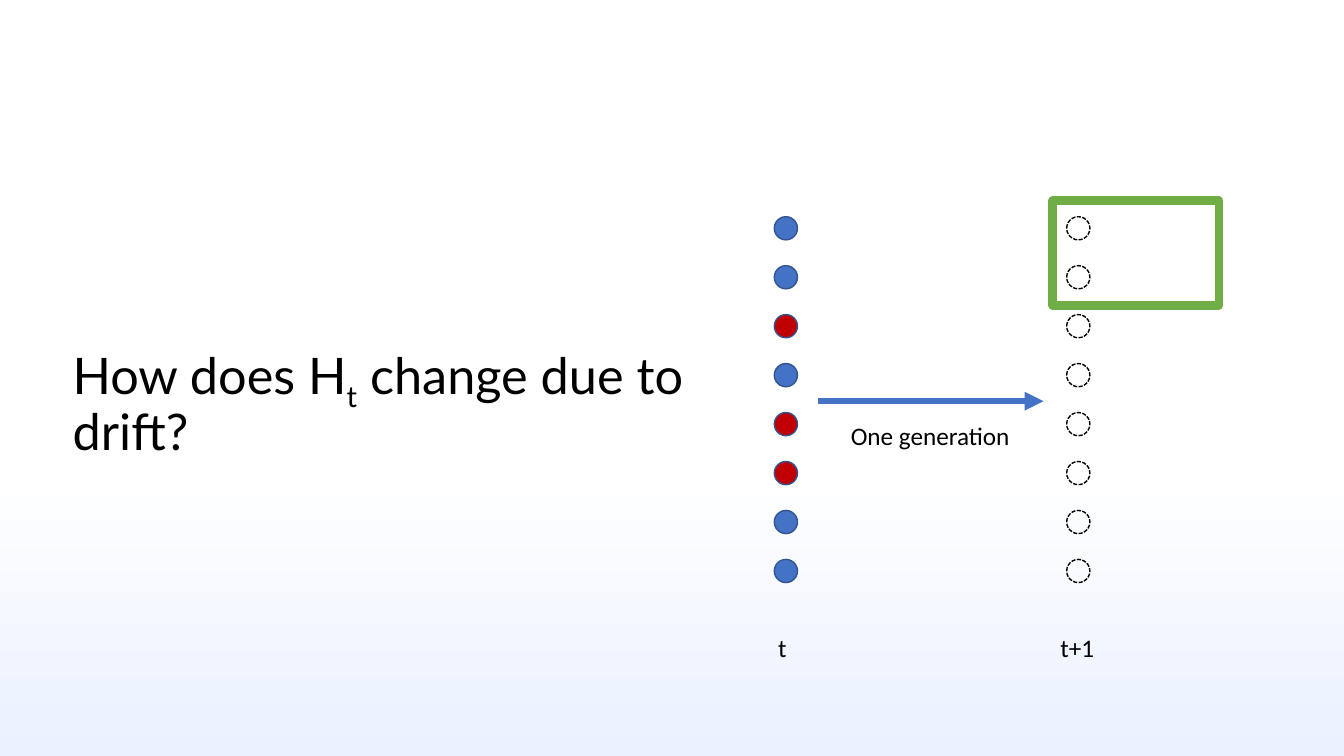
from lxml.etree import SubElement
from pptx import Presentation
from pptx.dml.color import RGBColor
from pptx.enum.dml import MSO_LINE_DASH_STYLE as DASH
from pptx.enum.shapes import MSO_CONNECTOR, MSO_SHAPE
from pptx.enum.text import MSO_ANCHOR, MSO_AUTO_SIZE, PP_ALIGN
from pptx.oxml.ns import qn
from pptx.util import Inches, Pt

COLORS = {
    "black": "000000",
    "blue": "4472C4",
    "outline": "325491",
    "red": "C00000",
    "green": "70AD47",
    "white": "FFFFFF",
    "pale": "EAF1FF",
}
TITLE = [("How does H", 0), ("t", -25), (" change due to drift?", 0)]
PARENTS = ["blue", "blue", "red", "blue", "red", "red", "blue", "blue"]
LABELS = [  # text, left, top, width
    ("One generation", 8.34, 4.12, 1.8),
    ("t", 7.62, 6.22, 0.29),
    ("t+1", 10.42, 6.22, 0.54),
]
BACKGROUND = [(0.62, "white"), (1, "pale")]
PARENT_X, CHILD_X = 7.68, 10.58
FIRST_Y, LAST_Y, DOT = 2.15, 5.55, 0.23
ARROW_X1, ARROW_X2, ARROW_Y = 8.11, 10.35, 3.98
FRAME = (10.44, 1.99, 1.65, 1.04)


def rgb(name):
    return RGBColor.from_string(COLORS[name])


def inches(*values):
    return [Inches(v) for v in values]


def write(tf, runs, size=18, font="Calibri", color="black", spacing=1.0,
          anchor=MSO_ANCHOR.TOP, wrap=False, fit=MSO_AUTO_SIZE.NONE):
    """Fill a text frame with one paragraph of (text, baseline percent) runs."""
    tf.word_wrap = wrap
    tf.auto_size = fit
    tf.vertical_anchor = anchor
    p = tf.paragraphs[0]
    p.alignment = PP_ALIGN.LEFT
    p.line_spacing = spacing
    for text, baseline in runs:
        r = p.add_run()
        r.text = text
        r.font.size = Pt(size)
        r.font.name = font
        r.font.color.rgb = rgb(color)
        if baseline:
            r.font._element.set("baseline", str(baseline * 1000))


def add_outline(s, kind, box, line, width, fill=None, dash=None):
    sp = s.shapes.add_shape(kind, *inches(*box))
    sp.shadow.inherit = False
    if fill:
        sp.fill.solid()
        sp.fill.fore_color.rgb = rgb(fill)
    else:
        sp.fill.background()
    sp.line.color.rgb = rgb(line)
    sp.line.width = Pt(width)
    if dash:
        sp.line.dash_style = dash


def add_arrow(s, x1, y1, x2, y2, color, width):
    line = s.shapes.add_connector(MSO_CONNECTOR.STRAIGHT, *inches(x1, y1, x2, y2))
    line.line.color.rgb = rgb(color)
    line.line.width = Pt(width)
    SubElement(line.line._get_or_add_ln(), qn("a:tailEnd"), type="triangle")
    SubElement(line._element.spPr, qn("a:effectLst"))


def paint_background(s):
    fill = s.background.fill
    fill.gradient()
    fill.gradient_angle = 270
    for stop, (position, color) in zip(fill.gradient_stops, BACKGROUND):
        stop.position = position
        stop.color.rgb = rgb(color)


def main():
    prs = Presentation()
    prs.slide_width, prs.slide_height = inches(13.33, 7.5)
    s = prs.slides.add_slide(prs.slide_layouts[5])
    paint_background(s)

    title = s.shapes.title
    title.left, title.top, title.width, title.height = inches(0.62, 3.42, 6.38, 1.16)
    write(title.text_frame, TITLE, size=36, font="Lato", spacing=0.9,
          anchor=MSO_ANCHOR.MIDDLE, wrap=True)

    step = (LAST_Y - FIRST_Y) / (len(PARENTS) - 1)
    for i, color in enumerate(PARENTS):
        y = FIRST_Y + i * step
        add_outline(s, MSO_SHAPE.OVAL, (PARENT_X, y, DOT, DOT), "outline", 1, fill=color)
        add_outline(s, MSO_SHAPE.OVAL, (CHILD_X, y, DOT, DOT), "black", 1,
                    dash=DASH.SQUARE_DOT)

    add_arrow(s, ARROW_X1, ARROW_Y, ARROW_X2, ARROW_Y, "blue", 4.5)
    for text, x, y, width in LABELS:
        box = s.shapes.add_textbox(*inches(x, y, width, 0.4))
        write(box.text_frame, [(text, 0)], fit=MSO_AUTO_SIZE.SHAPE_TO_FIT_TEXT)
    add_outline(s, MSO_SHAPE.RECTANGLE, FRAME, "green", 6)

    prs.save("out.pptx")


if __name__ == "__main__":
    main()
